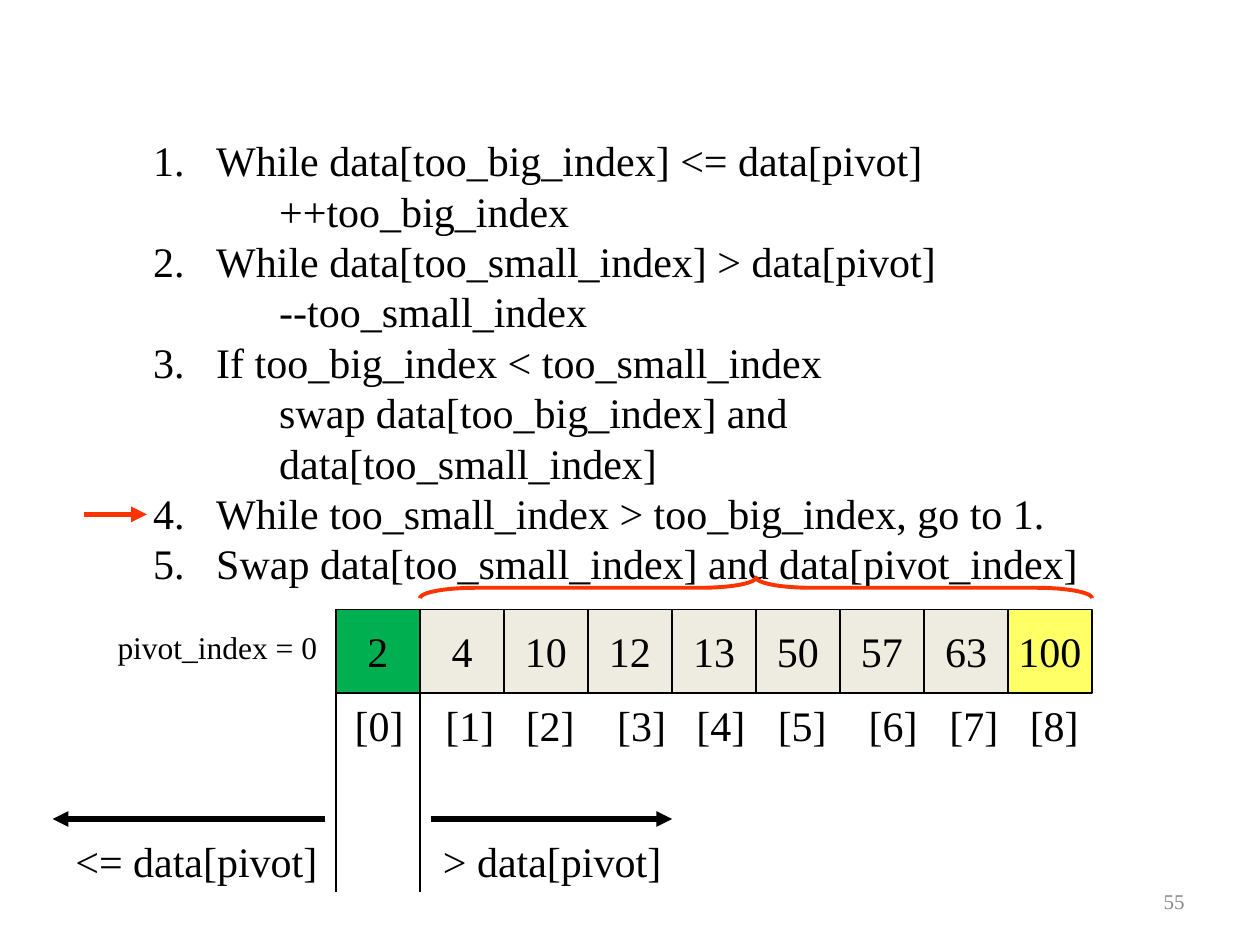
from lxml.etree import SubElement
from pptx import Presentation
from pptx.dml.color import RGBColor
from pptx.enum.shapes import MSO_CONNECTOR as Connector, MSO_SHAPE as Shape
from pptx.enum.text import MSO_ANCHOR as Anchor, PP_ALIGN as Align
from pptx.oxml.ns import qn
from pptx.util import Cm, Pt

FONT = "Times New Roman"
COLORS = {
    "ink": "000000",
    "accent": "FF3300",
    "pivot": "00B050",
    "cell": "EEECE1",
    "last": "FFFF66",
    "number": "898989",
}
SLIDE_WIDTH, SLIDE_HEIGHT = 25.4, 19.05
CELL = SLIDE_WIDTH / 15
ARRAY_LEFT, ARRAY_TOP = 4 * CELL, 12.28
VALUES = [2, 4, 10, 12, 13, 50, 57, 63, 100]
INDEX_TABS = [1.83, 3.45, 5.29, 6.89, 8.53, 10.36, 11.99, 13.61]
STEPS = [
    ("While data[too_big_index] <= data[pivot]", "++too_big_index"),
    ("While data[too_small_index] > data[pivot]", "--too_small_index"),
    ("If too_big_index < too_small_index",
     "swap data[too_big_index] and data[too_small_index]"),
    ("While too_small_index > too_big_index, go to 1.", None),
    ("Swap data[too_small_index] and data[pivot_index]", None),
]


def color(name):
    return RGBColor.from_string(COLORS[name])


def format_paragraph(paragraph, size=24, ink="ink", align=Align.LEFT):
    paragraph.alignment = align
    for run in paragraph.runs:
        run.font.name = FONT
        run.font.size = Pt(size)
        run.font.color.rgb = color(ink)


def add_label(slide, text, left, top, width, height, **style):
    label = slide.shapes.add_textbox(Cm(left), Cm(top), Cm(width), Cm(height))
    frame = label.text_frame
    frame.word_wrap = True
    frame.text = text
    format_paragraph(frame.paragraphs[0], **style)
    return frame


def add_line(slide, start, end, ink="ink", width=0.75, arrow=False):
    line = slide.shapes.add_connector(
        Connector.STRAIGHT, *(Cm(length) for length in start + end))
    line.line.color.rgb = color(ink)
    line.line.width = Pt(width)
    if arrow:
        outline = line._element.spPr.find(qn("a:ln"))
        SubElement(outline, qn("a:tailEnd"), type="triangle")
    SubElement(line._element.spPr, qn("a:effectLst"))


def add_steps(slide):
    frame = add_label(slide, "", 2.84, 2.59, 20.8, 11.4)
    lines = [(level, text) for step in STEPS
             for level, text in enumerate(step) if text]
    for position, (level, text) in enumerate(lines):
        paragraph = frame.add_paragraph() if position else frame.paragraphs[0]
        paragraph.text = "\t" + text if level else text
        paragraph.level = level
        format_paragraph(paragraph)
        properties = paragraph._p.get_or_add_pPr()
        properties.set("marL", str(Cm(1.27 * (level + 1))))
        properties.set("indent", str(Cm(-1.27)))
        if level == 0:
            SubElement(properties, qn("a:buFont"), typeface="+mj-lt")
            SubElement(properties, qn("a:buAutoNum"), type="arabicPeriod")


def add_cell(slide, position, value, fill):
    cell = slide.shapes.add_shape(
        Shape.RECTANGLE, Cm(ARRAY_LEFT + position * CELL), Cm(ARRAY_TOP),
        Cm(CELL), Cm(CELL))
    cell.shadow.inherit = False
    cell.fill.solid()
    cell.fill.fore_color.rgb = color(fill)
    cell.line.color.rgb = color("ink")
    cell.line.width = Pt(0.75)
    frame = cell.text_frame
    frame.word_wrap = False
    frame.vertical_anchor = Anchor.MIDDLE
    frame.text = str(value)
    format_paragraph(frame.paragraphs[0], align=Align.CENTER)


def add_array(slide):
    fills = ["pivot"] + ["cell"] * (len(VALUES) - 2) + ["last"]
    for position, (value, fill) in enumerate(zip(VALUES, fills)):
        add_cell(slide, position, value, fill)
    add_label(slide, "pivot_index = 0", 2.12, 12.53, 4.8, 1.02, size=18)
    indexes = "\t".join(f"[{position}]" for position in range(len(VALUES)))
    frame = add_label(slide, indexes, 6.9, 13.97, 15.5, 1.27)
    stops = SubElement(frame.paragraphs[0]._p.get_or_add_pPr(), qn("a:tabLst"))
    for stop in INDEX_TABS:
        SubElement(stops, qn("a:tab"), pos=str(Cm(stop)), algn="l")


def add_brace(slide):
    thickness, span = 0.42, 8 * CELL
    center_x, center_y = ARRAY_LEFT + 5 * CELL, 11.85
    brace = slide.shapes.add_shape(
        Shape.LEFT_BRACE, Cm(center_x - thickness / 2),
        Cm(center_y - span / 2), Cm(thickness), Cm(span))
    brace.rotation = 90
    brace.adjustments[0] = 2.67
    brace.shadow.inherit = False
    brace.fill.background()
    brace.line.color.rgb = color("accent")
    brace.line.width = Pt(2.25)


def add_partitions(slide):
    for edge in (ARRAY_LEFT, ARRAY_LEFT + CELL):
        add_line(slide, (edge, ARRAY_TOP), (edge, 17.99))
    for start, end in ((6.56, 1.06), (8.68, 13.55)):
        add_line(slide, (start, 16.51), (end, 16.51), width=3, arrow=True)
    for text, left in (("<= data[pivot]", 1.27), ("> data[pivot]", 8.68)):
        add_label(slide, text, left, 16.72, 5.6, 1.27)


def main():
    deck = Presentation()
    deck.slide_width, deck.slide_height = Cm(SLIDE_WIDTH), Cm(SLIDE_HEIGHT)
    slide = deck.slides.add_slide(deck.slide_layouts[6])
    add_steps(slide)
    add_line(slide, (1.69, 10.37), (2.96, 10.37), "accent", 3, arrow=True)
    add_array(slide)
    add_brace(slide)
    add_partitions(slide)
    page = add_label(slide, "55", 18.2, 17.66, 5.93, 1.01,
                     size=12, ink="number", align=Align.RIGHT)
    page.vertical_anchor = Anchor.MIDDLE
    deck.save("out.pptx")


main()
